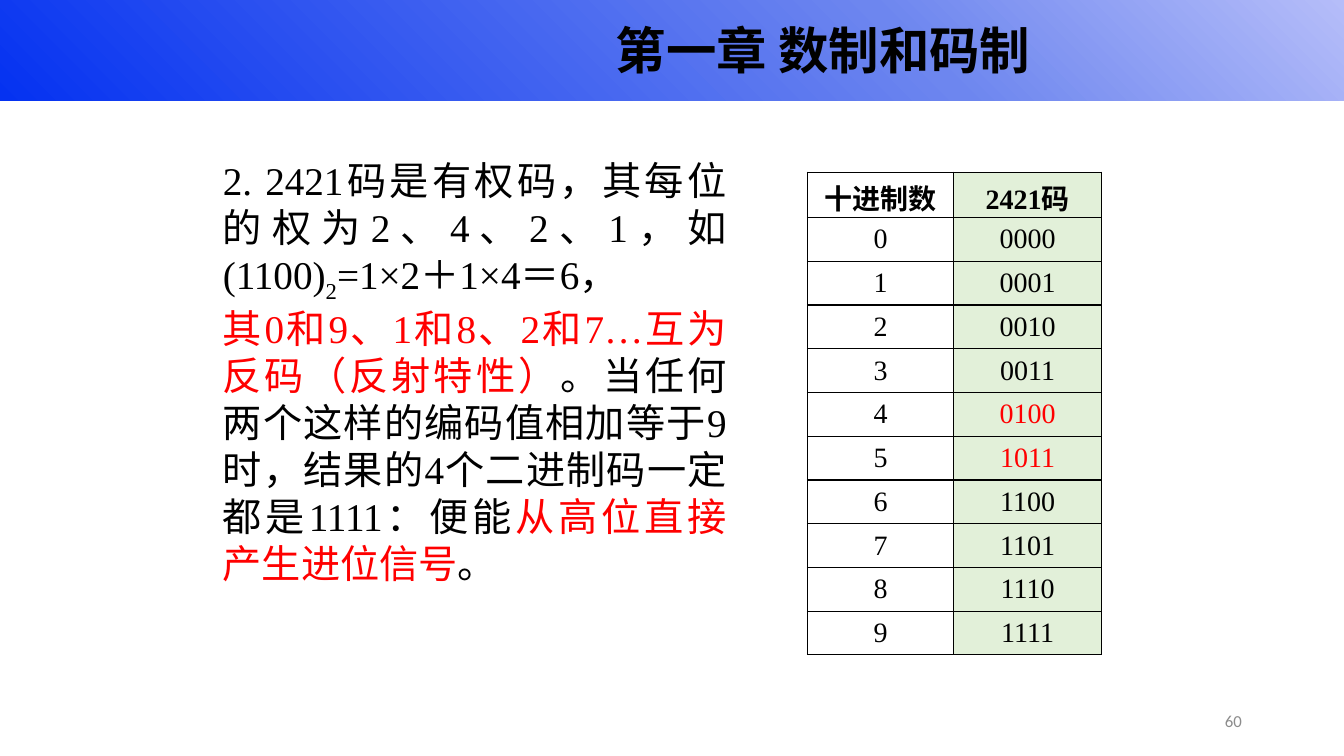
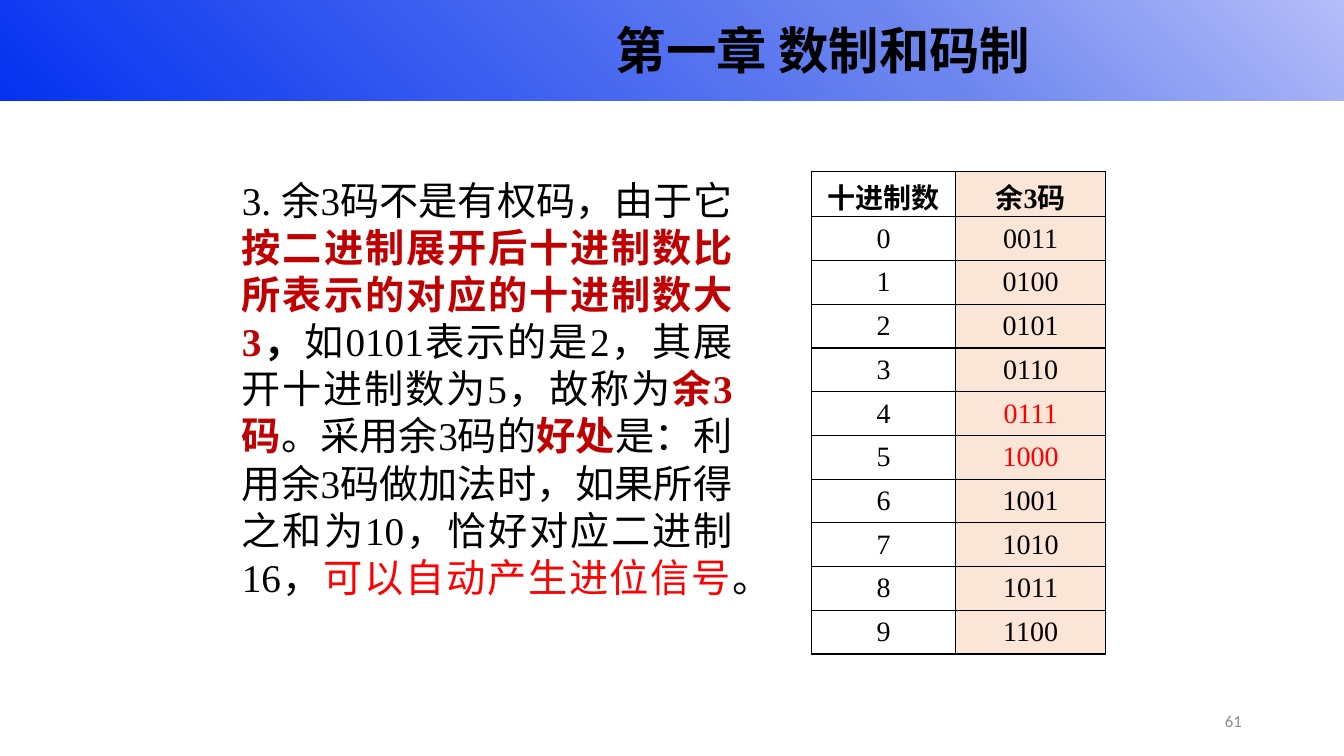
from dataclasses import dataclass

from lxml import etree
from pptx import Presentation
from pptx.dml.color import RGBColor
from pptx.enum.shapes import MSO_SHAPE
from pptx.enum.text import MSO_ANCHOR, MSO_AUTO_SIZE, PP_ALIGN
from pptx.oxml import parse_xml
from pptx.oxml.ns import nsdecls, qn
from pptx.util import Pt


@dataclass(frozen=True)
class Theme:
    black: str = "000000"
    red: str = "FF0000"
    dark_red: str = "C00000"
    grey: str = "8C8C8C"
    green_tint: str = "E2F0D9"
    orange_tint: str = "FBE5D6"
    band_stops: tuple = ((0, "B5BDF9"), (33, "6D86EF"), (100, "0532F1"))
    cjk_font: str = "Noto Sans CJK SC"
    text_font: str = "Times New Roman"
    number_font: str = "Calibri"
    title_size: int = 36
    body_size: int = 28
    table_size: int = 20
    number_size: int = 12


THEME = Theme()
SLIDE_WIDTH, SLIDE_HEIGHT = 960, 540
BAND_HEIGHT = 72
HEADER_HEIGHT, ROW_HEIGHT = 32.4, 31.2
CHAPTER = "第一章 数制和码制"

# Run styles: colour, bold
PLAIN = (THEME.black, False)
STRONG = (THEME.black, True)
RED = (THEME.red, False)
KEY = (THEME.dark_red, True)
SUBSCRIPT = "subscript"

WEIGHTED_TEXT = [
    [("2. 2421码是有权码，其每位的权为2、4、2、1，如(1100)", PLAIN),
     ("2", SUBSCRIPT),
     ("=1×2＋1×4＝6，", PLAIN)],
    [("其0和9、1和8、2和7…互为反码（反射特性）", RED),
     ("。当任何两个这样的编码值相加等于9时，结果的4个二进制码一定都是1111：便能", PLAIN),
     ("从高位直接产生进位信号", RED),
     ("。", PLAIN)],
]
EXCESS_TEXT = [
    [("3. 余3码不是有权码，由于它", PLAIN),
     ("按二进制展开后十进制数比所表示的对应的十进制数大3", KEY),
     ("，", STRONG),
     ("如0101表示的是2，其展开十进制数为5，故称为", PLAIN),
     ("余3码", KEY),
     ("。采用余3码的", PLAIN),
     ("好处", KEY),
     ("是：利用余3码做加法时，如果所得之和为10，恰好对应二进制16，", PLAIN),
     ("可以自动产生进位信号", RED),
     ("。", PLAIN)],
]


def place(shape, left, top, width, height):
    shape.left, shape.top = Pt(left), Pt(top)
    shape.width, shape.height = Pt(width), Pt(height)


def format_paragraph(paragraph, align, font_name, size, colour=THEME.black, bold=False):
    paragraph.alignment = align
    font = paragraph.font
    font.name, font.size, font.bold = font_name, Pt(size), bold
    font.color.rgb = RGBColor.from_string(colour)
    defaults = paragraph._p.pPr.find(qn("a:defRPr"))
    etree.SubElement(defaults, qn("a:ea")).set("typeface", THEME.cjk_font)


def add_band(slide, layout):
    """Draw the gradient band and move it to the back of the shared layout."""
    band = slide.shapes.add_shape(
        MSO_SHAPE.RECTANGLE, 0, 0, Pt(SLIDE_WIDTH), Pt(BAND_HEIGHT))
    band.shadow.inherit = False
    band.line.fill.background()
    band.fill.background()
    stops = "".join(
        f'<a:gs pos="{position * 1000}"><a:srgbClr val="{colour}"/></a:gs>'
        for position, colour in THEME.band_stops)
    gradient = parse_xml(
        f'<a:gradFill {nsdecls("a")} rotWithShape="1"><a:gsLst>{stops}</a:gsLst>'
        '<a:path path="circle"><a:fillToRect l="100000" b="100000"/></a:path>'
        '</a:gradFill>')
    properties = band.element.spPr
    properties.replace(properties.find(qn("a:noFill")), gradient)
    layout.shapes.element.insert(2, band.element)


def add_title(slide):
    frame = slide.shapes.title.text_frame
    frame.text = CHAPTER
    frame.auto_size = MSO_AUTO_SIZE.NONE
    frame.vertical_anchor = MSO_ANCHOR.MIDDLE
    paragraph = frame.paragraphs[0]
    paragraph.line_spacing = 0.9
    format_paragraph(paragraph, PP_ALIGN.CENTER, THEME.cjk_font,
                     THEME.title_size, bold=True)


def add_run(paragraph, text, style):
    run = paragraph.add_run()
    run.text = text
    if style == SUBSCRIPT:
        run._r.get_or_add_rPr().set("baseline", "-25000")
    elif style != PLAIN:
        colour, bold = style
        run.font.color.rgb = RGBColor.from_string(colour)
        run.font.bold = bold


def add_body(slide, paragraphs, box):
    body = slide.placeholders[1]
    place(body, *box)
    frame = body.text_frame
    frame.auto_size = MSO_AUTO_SIZE.SHAPE_TO_FIT_TEXT
    for index, runs in enumerate(paragraphs):
        paragraph = frame.add_paragraph() if index else frame.paragraphs[0]
        paragraph.space_before = Pt(0)
        properties = paragraph._p.get_or_add_pPr()
        properties.set("marL", "0")
        properties.set("indent", "0")
        etree.SubElement(properties, qn("a:buNone"))
        format_paragraph(paragraph, PP_ALIGN.JUSTIFY, THEME.text_font, THEME.body_size)
        for text, style in runs:
            add_run(paragraph, text, style)


def add_borders(cell):
    properties = cell._tc.get_or_add_tcPr()
    for side in ("lnL", "lnR", "lnT", "lnB"):
        properties.append(parse_xml(
            f'<a:{side} {nsdecls("a")} w="{Pt(1)}"><a:solidFill>'
            f'<a:srgbClr val="{THEME.black}"/></a:solidFill></a:{side}>'))


def fill_cell(cell, text, tint=None, colour=THEME.black, bold=False):
    cell.text = text
    cell.vertical_anchor = MSO_ANCHOR.MIDDLE
    add_borders(cell)
    if tint:
        cell.fill.solid()
        cell.fill.fore_color.rgb = RGBColor.from_string(tint)
    else:
        cell.fill.background()
    format_paragraph(cell.text_frame.paragraphs[0], PP_ALIGN.CENTER,
                     THEME.text_font, THEME.table_size, colour, bold)


def add_code_table(slide, code_name, codes, tint, left, top, widths):
    height = HEADER_HEIGHT + ROW_HEIGHT * len(codes)
    table = slide.shapes.add_table(
        len(codes) + 1, 2, Pt(left), Pt(top), Pt(sum(widths)), Pt(height)).table
    table.first_row = table.horz_banding = False
    for column, width in zip(table.columns, widths):
        column.width = Pt(width)
    for index, row in enumerate(table.rows):
        row.height = Pt(ROW_HEIGHT if index else HEADER_HEIGHT)
    fill_cell(table.cell(0, 0), "十进制数", bold=True)
    fill_cell(table.cell(0, 1), code_name, tint, bold=True)
    for digit, code in enumerate(codes):
        colour = THEME.red if digit in (4, 5) else THEME.black
        fill_cell(table.cell(digit + 1, 0), str(digit))
        fill_cell(table.cell(digit + 1, 1), f"{code:04b}", tint, colour)


def add_page_number(slide, number):
    box = slide.shapes.add_textbox(Pt(678.24), Pt(500.4), Pt(216), Pt(28.8))
    frame = box.text_frame
    frame.word_wrap = True
    frame.vertical_anchor = MSO_ANCHOR.MIDDLE
    frame.text = str(number)
    format_paragraph(frame.paragraphs[0], PP_ALIGN.RIGHT, THEME.number_font,
                     THEME.number_size, THEME.grey)


def add_code_slide(presentation, layout, number, paragraphs, body_box, **table):
    slide = presentation.slides.add_slide(layout)
    add_title(slide)
    add_body(slide, paragraphs, body_box)
    add_code_table(slide, **table)
    add_page_number(slide, number)
    return slide


def main():
    presentation = Presentation()
    presentation.slide_width = Pt(SLIDE_WIDTH)
    presentation.slide_height = Pt(SLIDE_HEIGHT)
    layout = presentation.slide_layouts[1]
    place(layout.placeholders[0], 326.88, 5.04, 522, 66.24)

    weighted_slide = add_code_slide(
        presentation, layout, 60, WEIGHTED_TEXT, (151.9, 108, 374.4, 312.5),
        code_name="2421码", codes=[n if n < 5 else n + 6 for n in range(10)],
        tint=THEME.green_tint, left=576.8, top=123, widths=(104.4, 105.8))
    add_band(weighted_slide, layout)
    add_code_slide(
        presentation, layout, 61, EXCESS_TEXT, (165.6, 122.4, 365, 312.5),
        code_name="余3码", codes=[n + 3 for n in range(10)],
        tint=THEME.orange_tint, left=579.6, top=122.4, widths=(103, 107.3))
    presentation.save("out.pptx")


if __name__ == "__main__":
    main()
